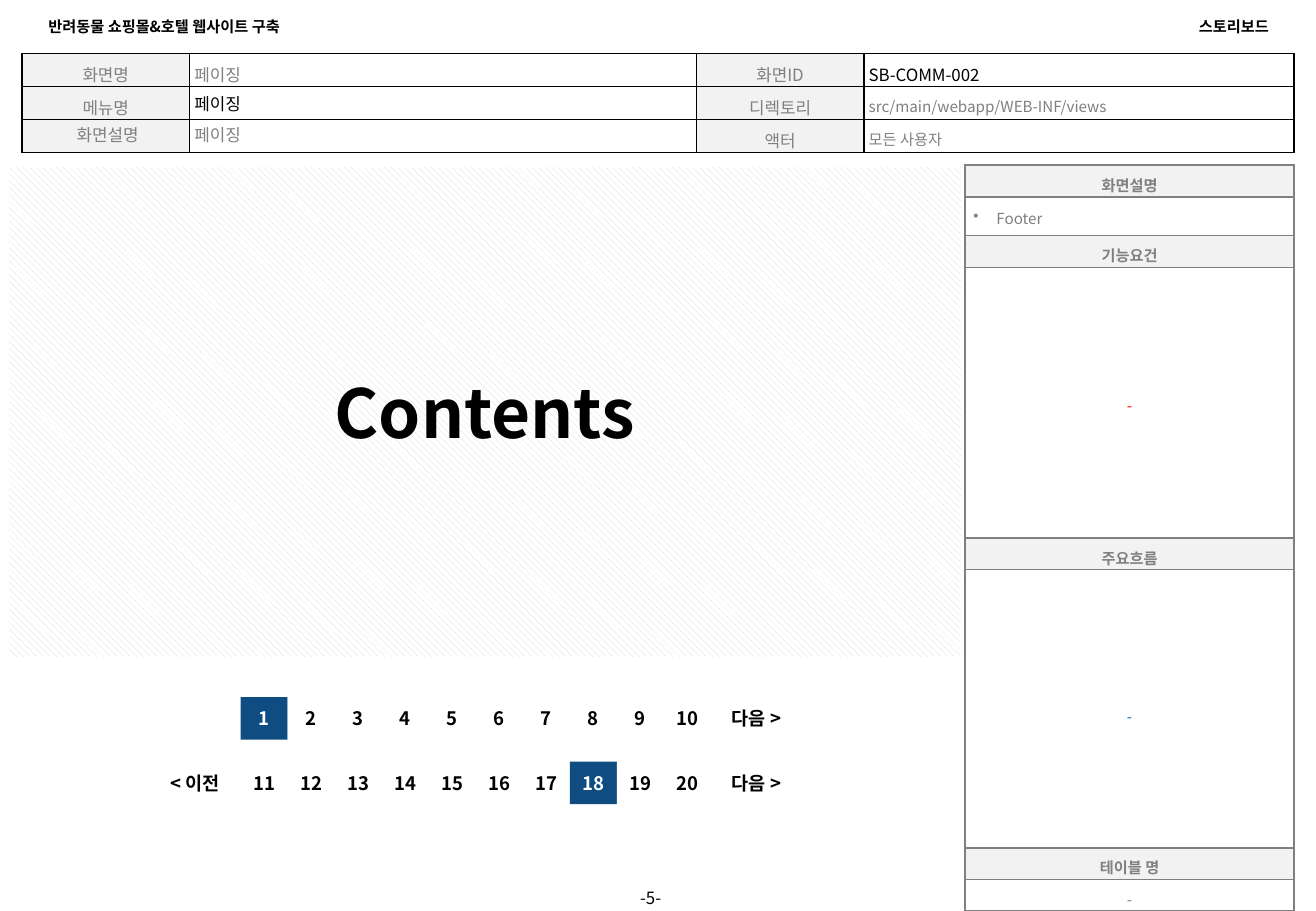
from dataclasses import dataclass

from pptx import Presentation
from pptx.dml.color import RGBColor
from pptx.enum.dml import MSO_PATTERN
from pptx.enum.shapes import MSO_SHAPE
from pptx.enum.text import MSO_ANCHOR, PP_ALIGN
from pptx.oxml.ns import qn
from pptx.util import Inches, Pt
from lxml.etree import SubElement

FONT = "Noto Sans CJK KR"
BLACK, WHITE, GRAY, LABEL_FILL, NAVY = "000000", "FFFFFF", "808080", "F2F2F2", "0F4C81"
LEFT, CENTER, RIGHT = PP_ALIGN.LEFT, PP_ALIGN.CENTER, PP_ALIGN.RIGHT


@dataclass
class Entry:
    """One table cell."""
    text: str
    color: str = GRAY
    size: float = 10
    bold: bool = False
    align: int = LEFT
    fill: str = ""
    gap: float = 3
    line: object = None
    bullet: bool = False


def rgb(color: str) -> RGBColor:
    return RGBColor.from_string(color)


def write(frame, text: str, size: float, color: str, bold: bool, align: int):
    frame.text = text
    frame.vertical_anchor = MSO_ANCHOR.MIDDLE
    para = frame.paragraphs[0]
    para.alignment = align
    font = para.runs[0].font
    font.name, font.size, font.bold = FONT, Pt(size), bold
    font.color.rgb = rgb(color)
    SubElement(para.runs[0]._r.get_or_add_rPr(), qn("a:ea"), typeface=FONT)
    return para


def add_text(left: float, top: float, width: float, height: float, text: str,
             size: float, bold: bool, align: int) -> None:
    box = page.shapes.add_textbox(Inches(left), Inches(top), Inches(width), Inches(height))
    box.text_frame.word_wrap = True
    write(box.text_frame, text, size, BLACK, bold, align)


def add_box(left: float, top: float, width: float, height: float, text: str,
            size: float = 11, fill: str = WHITE, color: str = BLACK):
    box = page.shapes.add_shape(MSO_SHAPE.RECTANGLE, Inches(left), Inches(top),
                                Inches(width), Inches(height))
    box.shadow.inherit = False
    box.fill.solid()
    box.fill.fore_color.rgb = rgb(fill)
    box.line.fill.background()
    box.text_frame.word_wrap = False
    write(box.text_frame, text, size, color, True, CENTER)
    return box


def add_borders(cell, color: str) -> None:
    props = cell._tc.get_or_add_tcPr()
    for side in ("lnL", "lnR", "lnT", "lnB"):
        line = SubElement(props, qn(f"a:{side}"), w=str(Pt(1)))
        SubElement(SubElement(line, qn("a:solidFill")), qn("a:srgbClr"), val=color)


def fill_cell(cell, entry: Entry, border: str, insets: tuple) -> None:
    add_borders(cell, border)
    if entry.fill:
        cell.fill.solid()
        cell.fill.fore_color.rgb = rgb(entry.fill)
    else:
        cell.fill.background()
    cell.margin_left, cell.margin_top, cell.margin_right, cell.margin_bottom = map(Inches, insets)
    para = write(cell.text_frame, entry.text, entry.size, entry.color, entry.bold, entry.align)
    cell.vertical_anchor = MSO_ANCHOR.MIDDLE
    para.space_before = para.space_after = Pt(entry.gap)
    if entry.line:
        para.line_spacing = entry.line
    if entry.bullet:
        props = para._p.get_or_add_pPr()
        props.set("marL", str(Inches(0.19)))
        props.set("indent", str(-Inches(0.19)))
        SubElement(props, qn("a:buChar"), char="•")


def add_grid(left: float, top: float, widths: list[float], heights: list[float],
             rows: list[list[Entry]], border: str, insets: tuple) -> None:
    frame = page.shapes.add_table(len(rows), len(widths), Inches(left), Inches(top),
                                  Inches(sum(widths)), Inches(sum(heights)))
    table = frame.table
    table.first_row = table.horz_banding = False
    for column, width in zip(table.columns, widths):
        column.width = Inches(width)
    for row, height, entries in zip(table.rows, heights, rows):
        row.height = Inches(height)
        for cell, entry in zip(row.cells, entries):
            fill_cell(cell, entry, border, insets)


def label(text: str, **changes) -> Entry:
    return Entry(text, **{"align": CENTER, "fill": LABEL_FILL, "line": 1.15, **changes})


def heading(text: str) -> list[Entry]:
    return [Entry(text, size=9, bold=True, align=CENTER, fill=LABEL_FILL)]


def dash(color: str, gap: float = 0) -> list[Entry]:
    return [Entry("-", color, 9, align=CENTER, gap=gap)]


deck = Presentation()
deck.slide_width, deck.slide_height = Inches(10.83), Inches(7.5)
page = deck.slides.add_slide(deck.slide_layouts[6])

# Running header and page number
add_text(4.96, 7.31, 0.79, 0.16, "-5-", 10, False, CENTER)
add_text(0.3, 0.09, 2.99, 0.25, "반려동물 쇼핑몰&호텔 웹사이트 구축", 9, True, LEFT)
add_text(7.55, 0.09, 2.99, 0.25, "스토리보드", 9, True, RIGHT)

# Screen information
exact = {"line": Pt(12), "gap": 0}
screen_rows = [
    [label("화면명"), Entry("페이징", line=1.15),
     label("화면ID"), Entry("SB-COMM-002", BLACK, line=1.15)],
    [label("메뉴명"), Entry("페이징", BLACK, gap=0),
     label("디렉토리"), Entry("src/main/webapp/WEB-INF/views", size=9, line=1.15)],
    [label("\u00a0화면설명", **exact), Entry("페이징", **exact),
     label("액터"), Entry("모든 사용자", size=9, line=1.15)],
]
add_grid(0.18, 0.44, [1.38, 4.17, 1.38, 3.54], [0.27] * 3, screen_rows, BLACK, (0.04,) * 4)

# Description panel
panel_insets = (0.07, 0.07, 0.07, 0.04)
panel_rows = [heading("화면설명"), [Entry("Footer", size=9, bullet=True)],
              heading("기능요건"), dash("FF0000"), heading("주요흐름"), dash("0070C0")]
add_grid(7.94, 1.36, [2.71], [0.26, 0.32, 0.26, 2.23, 0.26, 2.38], panel_rows, GRAY, panel_insets)
add_grid(7.94, 6.98, [2.71], [0.26, 0.26], [heading("테이블 명"), dash(GRAY, 3)],
         GRAY, panel_insets)

# Content area
content = add_box(0.06, 1.36, 7.86, 4.06, "Contents", 40)
content.fill.patterned()
content.fill.pattern = MSO_PATTERN.WIDE_DOWNWARD_DIAGONAL
content.fill.fore_color.rgb = rgb("D9D9D9")
content.fill.back_color.rgb = rgb(WHITE)
content.line.color.rgb = rgb(WHITE)
content.line.width = Pt(2)

# Paging rows: first number, selected number, top
PAGES, START, END, STEP_WIDTH, HEIGHT = 10, 1.98, 5.85, 0.75, 0.35
number_width = (END - START) / PAGES
for first, selected, top in ((1, 1, 5.74), (11, 18, 6.27)):
    for index in range(PAGES):
        number = first + index
        fill, color = (NAVY, WHITE) if number == selected else (WHITE, BLACK)
        add_box(START + index * number_width, top, number_width, HEIGHT, str(number),
                fill=fill, color=color)
    add_box(END, top, STEP_WIDTH, HEIGHT, "다음 >")
    if first > 1:
        add_box(START - STEP_WIDTH, top, STEP_WIDTH, HEIGHT, "< 이전")

deck.save("out.pptx")
